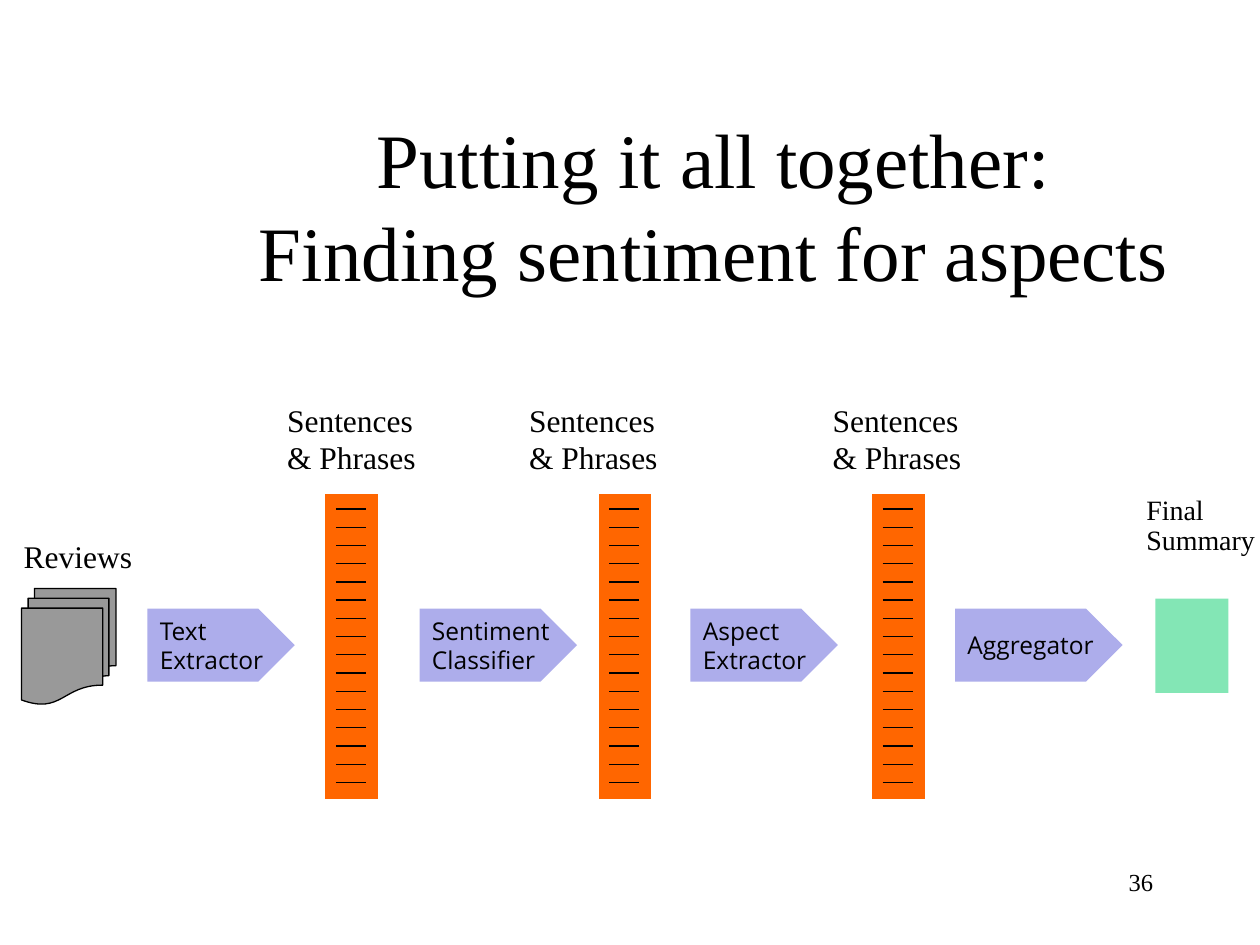
from pptx import Presentation
from pptx.dml.color import RGBColor
from pptx.enum.shapes import MSO_CONNECTOR as Conn, MSO_SHAPE as Geo
from pptx.enum.text import MSO_ANCHOR as Anchor, MSO_AUTO_SIZE as Auto, PP_ALIGN as Align
from pptx.oxml.ns import qn
from pptx.util import Inches, Pt
from lxml.etree import SubElement


def paint(part, fill, line=None):
    part.shadow.inherit = False
    part.fill.solid()
    part.fill.fore_color.rgb = RGBColor.from_string(fill)
    if line:
        part.line.color.rgb = RGBColor.from_string(line)
        part.line.width = Pt(0.75)
    else:
        part.line.fill.background()


def write(part, text, size, font="Times New Roman", align=Align.LEFT, space=None, **form):
    frame = part.text_frame
    frame.text = text
    for key, val in form.items():
        setattr(frame, key, val)
    for para in frame.paragraphs:
        para.alignment = align
        if space:
            para.line_spacing = space
        look = {"size": Pt(size), "name": font}
        for run in para.runs:
            for key, val in look.items():
                setattr(run.font, key, val)
            run.font.color.rgb = RGBColor.from_string("000000")


deck = Presentation()
deck.slide_width, deck.slide_height = Inches(10), Inches(7.5)
shapes = deck.slides.add_slide(deck.slide_layouts[6]).shapes

# Title and page number
title = shapes.add_textbox(Inches(1.58), Inches(1.08), Inches(8.17), Inches(1.08))
write(title, "Putting it all together:\vFinding sentiment for aspects", 44,
      align=Align.CENTER, word_wrap=True, vertical_anchor=Anchor.MIDDLE)
page = shapes.add_textbox(Inches(7.17), Inches(6.83), Inches(2.08), Inches(0.5))
write(page, "36", 14, align=Align.RIGHT, word_wrap=True)

# Reviews going in, summary coming out
for geo, x, y, w, h, fill, line in [
    (Geo.FLOWCHART_MULTIDOCUMENT, 0.17, 4.67, 0.75, 0.92, "999999", "000000"),
    (Geo.RECTANGLE, 9.17, 4.75, 0.58, 0.75, "83E6B5", None),
]:
    paint(shapes.add_shape(geo, Inches(x), Inches(y), Inches(w), Inches(h)), fill, line)

# Columns of ruled sentences
rows, top, end = 16, 4.04, 6.21
for x in (4.75, 2.58, 6.92):
    group = shapes.add_group_shape()
    bar = group.shapes.add_shape(Geo.FLOWCHART_PROCESS, Inches(x), Inches(3.92),
                                 Inches(0.42), Inches(2.42))
    paint(bar, "FF6600")
    for row in range(rows):
        y = Inches(top + row * (end - top) / (rows - 1))
        rule = group.shapes.add_connector(Conn.STRAIGHT, Inches(x + 0.085), y,
                                          Inches(x + 0.325), y)
        rule.line.color.rgb = RGBColor.from_string("000000")
        rule.line.width = Pt(0.75)
        SubElement(rule.element.spPr, qn("a:effectLst"))

# Labels
phrases = "Sentences\n& Phrases"
for text, x, y, w, h, size, space in [
    ("Reviews", 0.09, 4.21, 1.06, 0.4, 18, None),
    ("Final\nSummary", 9, 3.89, 1.06, 0.58, 16, 0.9),
    (phrases, 6.51, 3.13, 1.22, 0.7, 18, None),
    (phrases, 2.18, 3.13, 1.22, 0.7, 18, None),
    (phrases, 4.1, 3.13, 1.22, 0.7, 18, None),
]:
    label = shapes.add_textbox(Inches(x), Inches(y), Inches(w), Inches(h))
    write(label, text, size, space=space, word_wrap=False, auto_size=Auto.SHAPE_TO_FIT_TEXT)

# Pipeline steps, each pointing right
y, high = 4.83, 0.58
for text, x, wide in [
    ("Text\nExtractor", 1.17, 1.17),
    ("Sentiment\nClassifier", 3.33, 1.25),
    ("Aspect\nExtractor", 5.48, 1.17),
    ("Aggregator", 7.58, 1.33),
]:
    neck = x + wide - high / 2
    dots = [(neck, y), (x + wide, y + high / 2), (neck, y + high), (x, y + high)]
    pen = shapes.build_freeform(Inches(x), Inches(y))
    pen.add_line_segments([(Inches(a), Inches(b)) for a, b in dots], close=True)
    step = pen.convert_to_shape()
    paint(step, "ADADEB")
    write(step, text, 14, "Open Sans", word_wrap=False, vertical_anchor=Anchor.MIDDLE)

deck.save("out.pptx")
